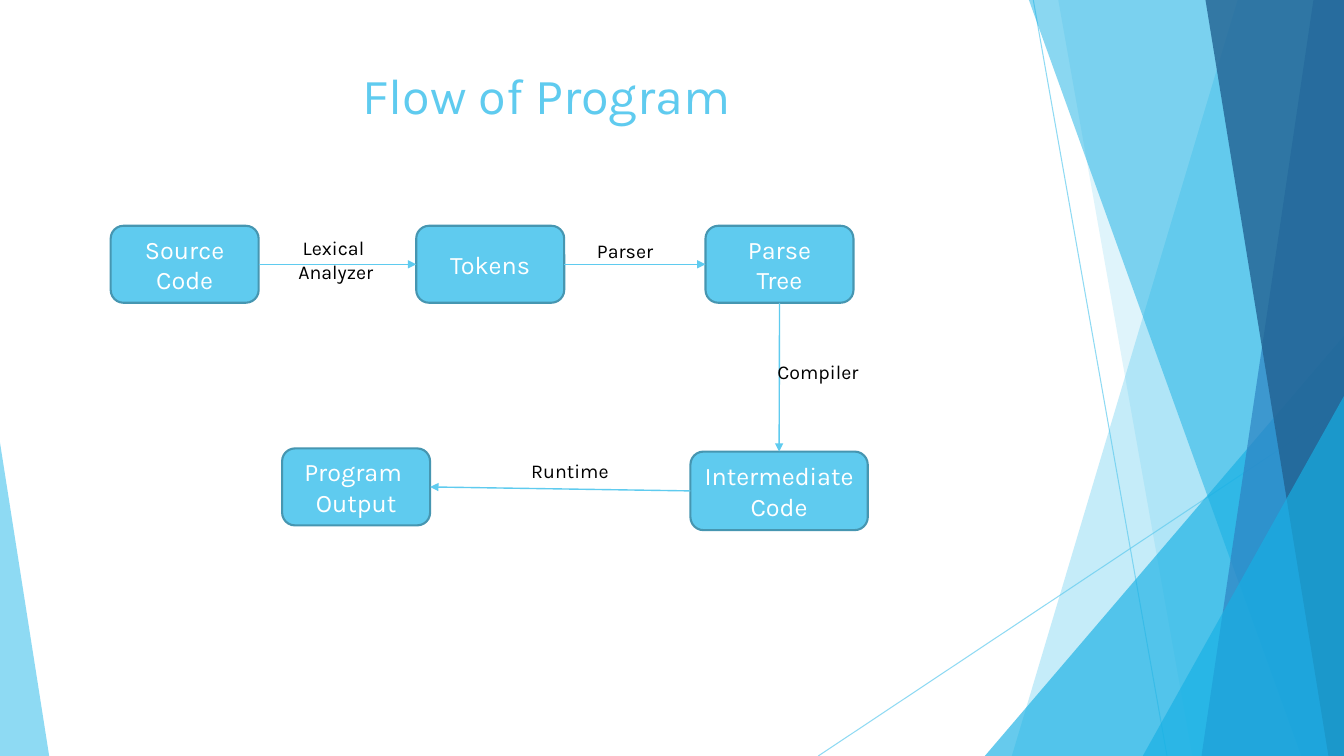
"""Build the "Flow of Program" slide: a compiler pipeline beside a faceted blue edge."""
import dataclasses
import typing

import lxml.etree
import pptx
import pptx.dml.color
import pptx.enum.shapes
import pptx.enum.text
import pptx.oxml.ns
import pptx.util

Cm = pptx.util.Cm
Pt = pptx.util.Pt
RGBColor = pptx.dml.color.RGBColor
qn = pptx.oxml.ns.qn
MSO_SHAPE = pptx.enum.shapes.MSO_SHAPE
MSO_ANCHOR = pptx.enum.text.MSO_ANCHOR

SKY = RGBColor(0x5F, 0xCB, 0xEF)
CYAN = RGBColor(0x17, 0xB0, 0xE4)
BLUE = RGBColor(0x2E, 0x83, 0xC3)
NAVY = RGBColor(0x22, 0x62, 0x92)
OUTLINE = RGBColor(0x46, 0x96, 0xB1)
WHITE = RGBColor(0xFF, 0xFF, 0xFF)
BLACK = RGBColor(0x00, 0x00, 0x00)

FONT = "Karla"
WIDTH, HEIGHT = 33.87, 19.05
TOP, LEFT, BOTTOM, RIGHT = range(4)


@dataclasses.dataclass(frozen=True)
class Band:
    """A sheet from a slanted left side to the right edge of the slide."""
    top_x: float
    bottom_x: float
    color: RGBColor
    opacity: int


@dataclasses.dataclass(frozen=True)
class Wedge:
    """A right triangle standing on the bottom edge of the slide."""
    x: float
    y: float
    width: float
    apex: int
    color: RGBColor
    opacity: int


@dataclasses.dataclass(frozen=True)
class Stage:
    """A rounded box holding one form of the program."""
    lines: tuple[str, ...]
    x: float
    y: float
    width: float = 3.73
    height: float = 1.94


@dataclasses.dataclass(frozen=True)
class Step:
    """An arrow between two stages and the label beside it."""
    start: str
    start_site: int
    end: str
    end_site: int
    lines: tuple[str, ...]
    x: float
    y: float
    height: float = 0.86


FACETS = (
    Band(31.19, 25.5, SKY, 36),
    Band(26.67, 30.05, SKY, 20),
    Wedge(24.82, 8.46, 9.05, 1, CYAN, 66),
    Band(25.93, 32.79, CYAN, 50),
    Band(33.1, 30.28, BLUE, 70),
    Band(30.38, 33.48, NAVY, 80),
    Wedge(28.8, 9.98, 5.07, 1, CYAN, 66),
    Wedge(0, 11.15, 1.24, 0, SKY, 70),
)
HAIRLINES = ((26.04, 0, 29.41, HEIGHT), (WIDTH, 10.24, 20.62, HEIGHT))
STAGES = {
    "source": Stage(("Source", "Code"), 2.79, 5.69),
    "tokens": Stage(("Tokens",), 10.49, 5.69),
    "tree": Stage(("Parse", "Tree"), 17.78, 5.69),
    "output": Stage(("Program ", "Output"), 7.11, 11.3),
    "intermediate": Stage(("Intermediate", "Code"), 17.4, 11.38, 4.47, 1.98),
}
STEPS = (
    Step("source", RIGHT, "tokens", LEFT, ("Lexical ", "Analyzer"), 6.93, 5.82, 1.45),
    Step("tokens", RIGHT, "tree", LEFT, ("Parser",), 14.22, 5.89),
    Step("tree", BOTTOM, "intermediate", TOP, ("Compiler",), 19.08, 8.94),
    Step("intermediate", LEFT, "output", RIGHT, ("Runtime",), 12.83, 11.43),
)


def write(sp: typing.Any, lines: tuple[str, ...], size: int, color: RGBColor, anchor: MSO_ANCHOR) -> None:
    """Fill a shape with centred paragraphs."""
    tf = sp.text_frame
    frame_format = {"word_wrap": True, "vertical_anchor": anchor}
    for name, value in frame_format.items():
        setattr(tf, name, value)
    font_format = {"name": FONT, "size": Pt(size), "bold": False}
    for i, line in enumerate(lines):
        p = tf.add_paragraph() if i else tf.paragraphs[0]
        p.alignment = pptx.enum.text.PP_ALIGN.CENTER
        r = p.add_run()
        r.text = line
        r.font.color.rgb = color
        for name, value in font_format.items():
            setattr(r.font, name, value)


def set_opacity(sp: typing.Any, percent: int) -> None:
    """Make the colour of a shape or line translucent."""
    color = sp._element.spPr.find(".//" + qn("a:srgbClr"))
    lxml.etree.SubElement(color, qn("a:alpha"), val=str(percent * 1000))


def draw_line(shapes: typing.Any, ends: tuple[float, ...], width: float) -> typing.Any:
    """Draw a straight sky-blue line without shadow."""
    sp = shapes.add_connector(pptx.enum.shapes.MSO_CONNECTOR.STRAIGHT, *map(Cm, ends))
    sp.line.color.rgb = SKY
    sp.line.width = Pt(width)
    lxml.etree.SubElement(sp._element.spPr, qn("a:effectLst"))
    return sp


def draw_facet(shapes: typing.Any, facet: Band | Wedge) -> None:
    """Draw one translucent facet of the background."""
    if isinstance(facet, Band):
        corners = ((WIDTH, 0), (WIDTH, HEIGHT), (facet.bottom_x, HEIGHT))
        outline = shapes.build_freeform(Cm(facet.top_x), Cm(0))
        outline.add_line_segments([(Cm(x), Cm(y)) for x, y in corners])
        sp = outline.convert_to_shape()
    else:
        box = (facet.x, facet.y, facet.width, HEIGHT - facet.y)
        sp = shapes.add_shape(MSO_SHAPE.ISOSCELES_TRIANGLE, *map(Cm, box))
        sp.adjustments[0] = facet.apex
    sp.shadow.inherit = False
    sp.fill.solid()
    sp.fill.fore_color.rgb = facet.color
    sp.line.fill.background()
    set_opacity(sp, facet.opacity)


def draw_stage(shapes: typing.Any, stage: Stage) -> typing.Any:
    """Draw one rounded stage box."""
    box = (stage.x, stage.y, stage.width, stage.height)
    sp = shapes.add_shape(MSO_SHAPE.ROUNDED_RECTANGLE, *map(Cm, box))
    sp.shadow.inherit = False
    sp.fill.solid()
    sp.fill.fore_color.rgb = SKY
    sp.line.color.rgb = OUTLINE
    sp.line.width = Pt(1.5)
    write(sp, stage.lines, 18, WHITE, MSO_ANCHOR.MIDDLE)
    return sp


def draw_step(shapes: typing.Any, step: Step, boxes: dict[str, typing.Any]) -> None:
    """Join two stage boxes with an arrow and label it."""
    sp = draw_line(shapes, (0, 0, 0, 0), 1)
    sp.begin_connect(boxes[step.start], step.start_site)
    sp.end_connect(boxes[step.end], step.end_site)
    lxml.etree.SubElement(sp._element.spPr.find(qn("a:ln")), qn("a:tailEnd"), type="triangle")
    label = shapes.add_textbox(*map(Cm, (step.x, step.y, 3.07, step.height)))
    write(label, step.lines, 14, BLACK, MSO_ANCHOR.TOP)


def main() -> None:
    """Build and save the slide."""
    prs = pptx.Presentation()
    prs.slide_width, prs.slide_height = Cm(WIDTH), Cm(HEIGHT)
    slide = prs.slides.add_slide(prs.slide_layouts.get_by_name("Title Only"))
    shapes = slide.shapes
    title_box = {"left": Cm(1.83), "top": Cm(1.5), "width": Cm(23.88), "height": Cm(3.66)}
    for name, value in title_box.items():
        setattr(shapes.title, name, value)
    write(shapes.title, ("Flow of Program",), 36, SKY, MSO_ANCHOR.TOP)
    for ends in HAIRLINES:
        set_opacity(draw_line(shapes, ends, 0.75), 70)
    for facet in FACETS:
        draw_facet(shapes, facet)
    boxes = {name: draw_stage(shapes, stage) for name, stage in STAGES.items()}
    for step in STEPS:
        draw_step(shapes, step, boxes)
    prs.save("out.pptx")


main()
